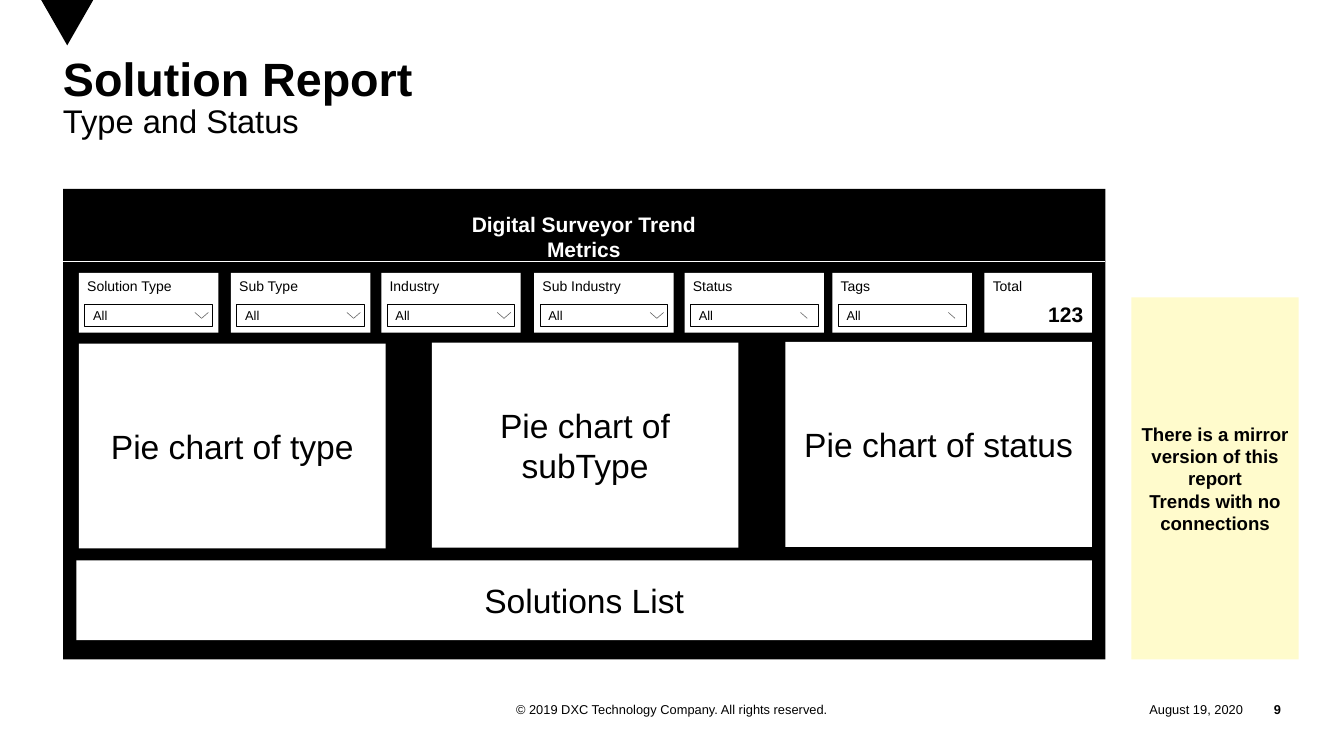
from dataclasses import dataclass
from typing import Optional

from lxml.etree import SubElement
from pptx import Presentation
from pptx.dml.color import RGBColor
from pptx.enum.shapes import MSO_CONNECTOR, MSO_SHAPE
from pptx.enum.text import MSO_ANCHOR, PP_ALIGN
from pptx.oxml.ns import qn
from pptx.util import Inches, Pt

BLACK = RGBColor(0x00, 0x00, 0x00)
WHITE = RGBColor(0xFF, 0xFF, 0xFF)
CREAM = RGBColor(0xFF, 0xFB, 0xCC)
GREY = RGBColor(0x66, 0x66, 0x66)
LEFT, MID, RIGHT = PP_ALIGN.LEFT, PP_ALIGN.CENTER, PP_ALIGN.RIGHT
TOP, CENTER = MSO_ANCHOR.TOP, MSO_ANCHOR.MIDDLE


@dataclass
class Box:
    x: float
    y: float
    w: float
    h: float
    text: str = ""
    size: float = 12
    bold: bool = False
    color: RGBColor = BLACK
    align: PP_ALIGN = LEFT
    anchor: MSO_ANCHOR = TOP
    fill: Optional[RGBColor] = None
    line: Optional[RGBColor] = None
    inset: bool = True
    wrap: bool = True


@dataclass
class Filter:
    x: float
    name: str
    full: bool = True


def style(run, size: float, bold: bool, color: RGBColor) -> None:
    values = {"name": "Arial", "size": Pt(size), "bold": bold}
    for key, value in values.items():
        setattr(run.font, key, value)
    run.font.color.rgb = color


def draw_box(slide, box: Box):
    place = [Inches(v) for v in (box.x, box.y, box.w, box.h)]
    if box.fill is None:
        shape = slide.shapes.add_textbox(*place)
    else:
        shape = slide.shapes.add_shape(MSO_SHAPE.RECTANGLE, *place)
        shape.shadow.inherit = False
        shape.fill.solid()
        shape.fill.fore_color.rgb = box.fill
        if box.line is None:
            shape.line.fill.background()
        else:
            shape.line.color.rgb = box.line
            shape.line.width = Pt(0.75)
    frame = shape.text_frame
    values = {"word_wrap": box.wrap, "vertical_anchor": box.anchor}
    if not box.inset:
        sides = ("left", "top", "right", "bottom")
        values.update({f"margin_{side}": 0 for side in sides})
    for key, value in values.items():
        setattr(frame, key, value)
    if box.text:
        for i, text in enumerate(box.text.split("\n")):
            para = frame.add_paragraph() if i else frame.paragraphs[0]
            para.alignment = box.align
            run = para.add_run()
            run.text = text
            style(run, box.size, box.bold, box.color)
    return shape


def draw_line(slide, x1: float, y1: float, x2: float, y2: float,
              color: RGBColor) -> None:
    ends = [Inches(v) for v in (x1, y1, x2, y2)]
    line = slide.shapes.add_connector(MSO_CONNECTOR.STRAIGHT, *ends)
    line.line.color.rgb = color
    line.line.width = Pt(0.5)
    SubElement(line._element.spPr, qn("a:effectLst"))


def draw_filter(slide, item: Filter) -> None:
    draw_box(slide, Box(item.x, 3.25, 1.66, 0.71, item.name, fill=WHITE))
    draw_box(slide, Box(item.x + 0.07, 3.62, 1.52, 0.27, "All", 11,
                        anchor=CENTER, fill=WHITE, line=BLACK))
    tip = item.x + 1.46
    starts = (-0.08, 0.08) if item.full else (-0.08,)
    for dx in starts:
        draw_line(slide, tip + dx, 3.72, tip, 3.79, GREY)


def draw_mark(slide) -> None:
    points = [(Inches(x), Inches(y)) for x, y in ((0.49, 0), (0.8, 0.54), (1.11, 0))]
    maker = slide.shapes.build_freeform(*points[0], scale=1.0)
    maker.add_line_segments(points[1:], close=True)
    mark = maker.convert_to_shape()
    mark.shadow.inherit = False
    mark.fill.solid()
    mark.fill.fore_color.rgb = BLACK
    mark.line.fill.background()


def draw_title(slide) -> None:
    shape = draw_box(slide, Box(0.75, 0.7, 12.26, 1.55, "Solution Report",
                                40, True, inset=False))
    para = shape.text_frame.paragraphs[0]
    para.line_spacing = 0.85
    para.add_line_break()
    run = para.add_run()
    run.text = "Type and Status"
    style(run, 28, False, BLACK)


FOOTER = [
    Box(13.01, 8.29, 1.79, 0.3, "August 19, 2020", 11, align=RIGHT,
        anchor=CENTER, inset=False),
    Box(14.8, 8.29, 0.45, 0.3, "9", 11, True, align=RIGHT,
        anchor=CENTER, inset=False),
    Box(5.25, 8.29, 5.5, 0.3,
        "© 2019 DXC Technology Company. All rights reserved.", 11,
        align=MID, anchor=CENTER, inset=False),
]
PANELS = [
    Box(11.72, 3.25, 1.28, 0.71, "Total", fill=WHITE),
    Box(12.38, 3.54, 0.62, 0.4, "123", 18, True, wrap=False),
    Box(5.06, 2.47, 3.78, 0.4, "Digital Surveyor Trend Metrics", 18, True,
        WHITE, MID, wrap=False),
    Box(13.47, 3.54, 1.99, 4.31,
        "There is a mirror version of this report\nTrends with no connections",
        16, True, align=MID, anchor=CENTER, fill=CREAM),
]
CHARTS = [
    Box(x, y, w, h, text, 28.8, align=MID, anchor=CENTER, fill=WHITE)
    for x, y, w, h, text in (
        (0.94, 4.09, 3.65, 2.44, "Pie chart of type"),
        (0.91, 6.67, 12.09, 0.95, "Solutions List"),
        (5.14, 4.08, 3.65, 2.44, "Pie chart of subType"),
        (9.35, 4.07, 3.65, 2.44, "Pie chart of status"),
    )
]
FILTERS = [
    Filter(0.94, "Solution Type"),
    Filter(2.75, "Sub Type"),
    Filter(4.54, "Industry"),
    Filter(6.36, "Sub Industry"),
    Filter(8.15, "Status", False),
    Filter(9.91, "Tags", False),
]


def main() -> None:
    deck = Presentation()
    deck.slide_width, deck.slide_height = Inches(16), Inches(9)
    slide = deck.slides.add_slide(deck.slide_layouts[6])

    # Corner mark and footer
    draw_mark(slide)
    for box in FOOTER:
        draw_box(slide, box)

    # Report frame, title and header rule
    draw_box(slide, Box(0.75, 2.25, 12.41, 5.6, fill=BLACK))
    draw_title(slide)
    draw_line(slide, 0.75, 3.11, 13.16, 3.11, WHITE)

    # Panels, charts and filters
    for box in PANELS + CHARTS:
        draw_box(slide, box)
    for item in FILTERS:
        draw_filter(slide, item)

    deck.save("out.pptx")


if __name__ == "__main__":
    main()
